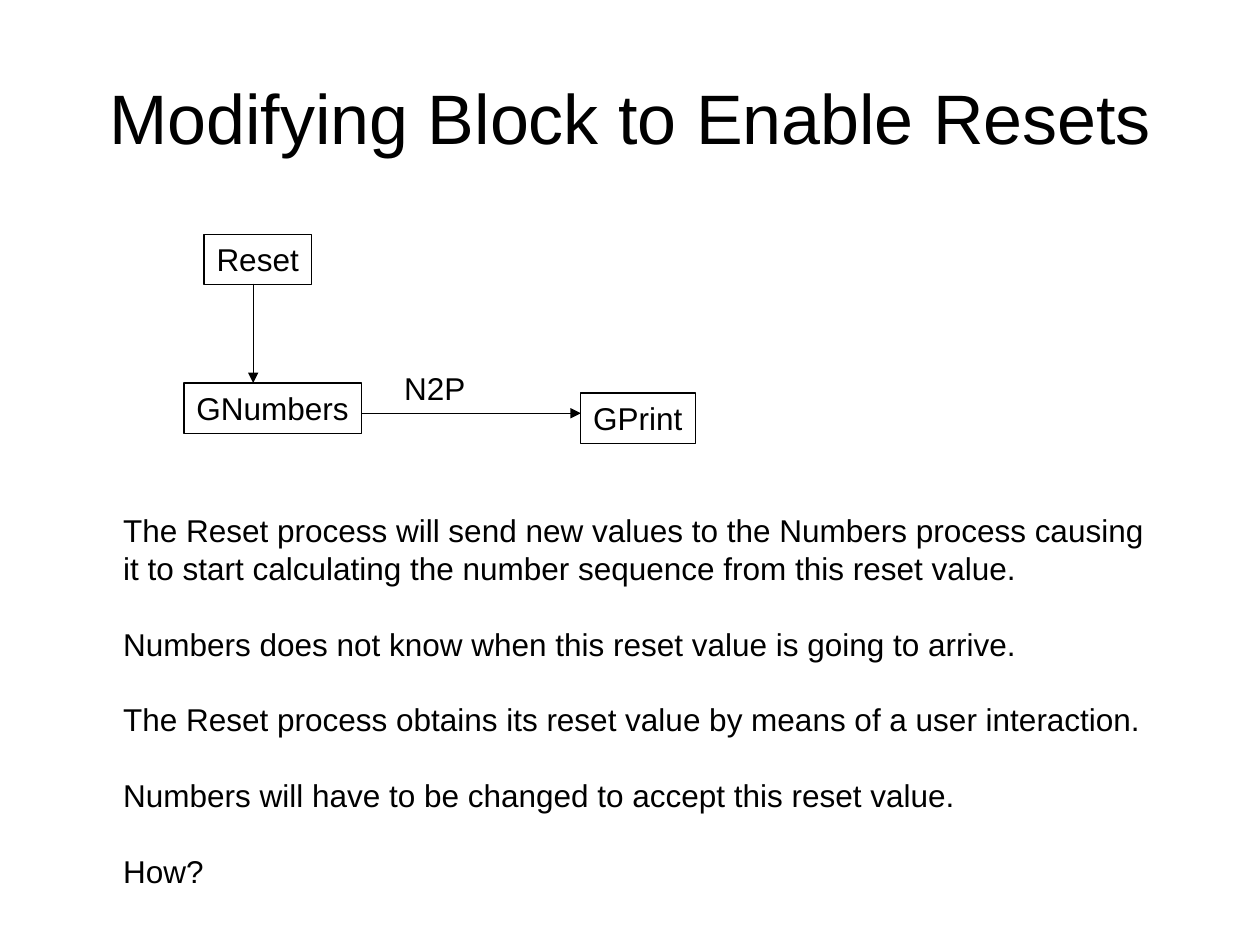
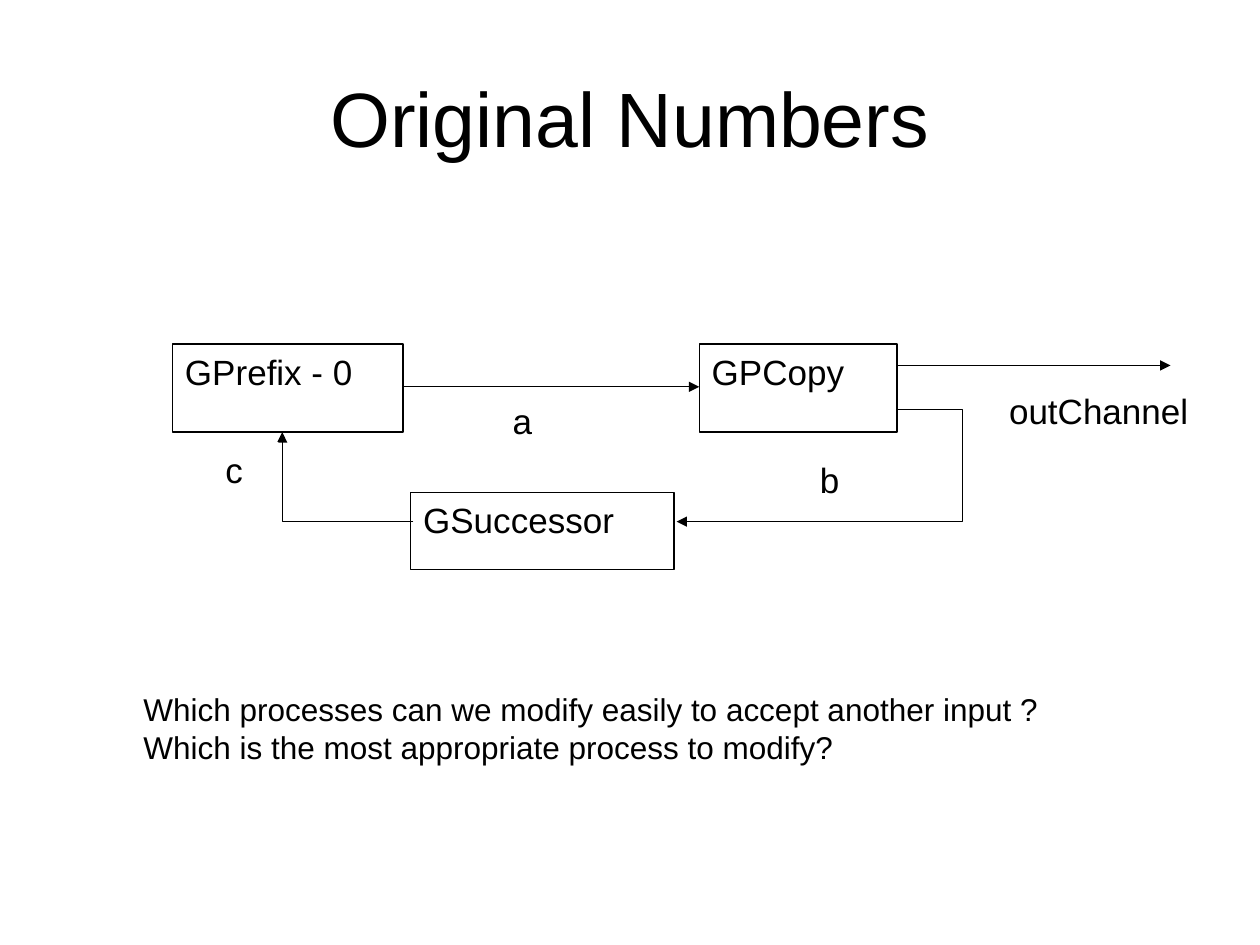
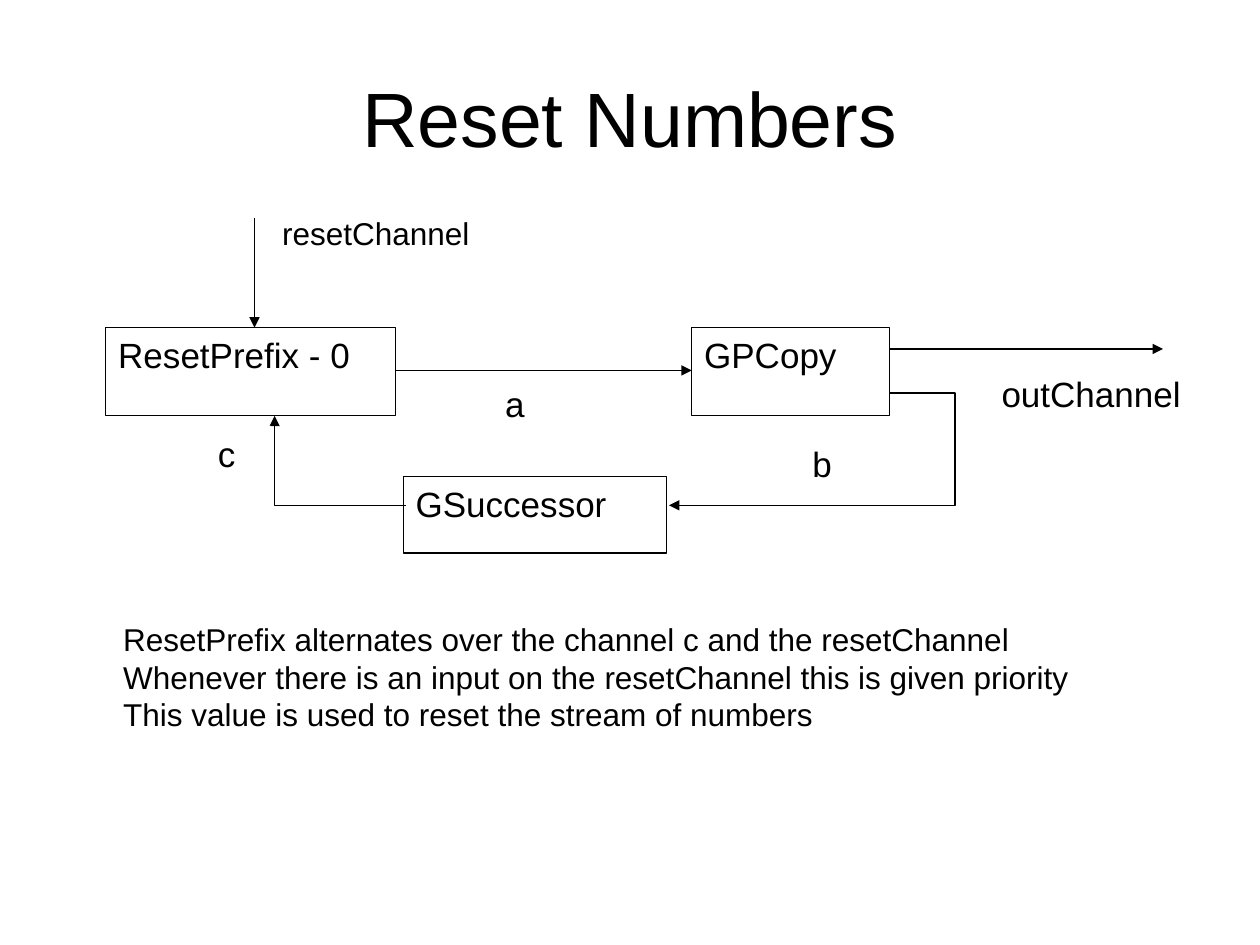
from dataclasses import dataclass

from lxml import etree
from pptx import Presentation
from pptx.dml.color import RGBColor
from pptx.enum.shapes import MSO_CONNECTOR, MSO_SHAPE
from pptx.enum.text import MSO_ANCHOR, MSO_AUTO_SIZE, PP_ALIGN
from pptx.oxml.ns import qn
from pptx.shapes.base import BaseShape
from pptx.slide import Slide
from pptx.text.text import TextFrame, _Paragraph as Paragraph
from pptx.util import Inches, Pt

BLACK = RGBColor(0, 0, 0)
WHITE = RGBColor(255, 255, 255)
FONT = "Arial"
THIN = Pt(0.75)
NOTE_SIZE = 18
LOOP_SIZE = 20
LINE_GAP = Pt(21.6)  # one line of note text
TITLE_ONLY = 5

RECT = MSO_SHAPE.RECTANGLE
STRAIGHT = MSO_CONNECTOR.STRAIGHT
LEFT, CENTER = PP_ALIGN.LEFT, PP_ALIGN.CENTER
TOP, MIDDLE = MSO_ANCHOR.TOP, MSO_ANCHOR.MIDDLE
FIT, FIXED = MSO_AUTO_SIZE.SHAPE_TO_FIT_TEXT, MSO_AUTO_SIZE.NONE

Point = tuple[float, float]


@dataclass
class Box:
    text: str
    left: float
    top: float
    width: float
    height: float
    framed: bool = True


def add_run(para: Paragraph, text: str, size: int, align: PP_ALIGN = LEFT) -> None:
    para.alignment = align
    run = para.add_run()
    run.text = text
    run.font.name = FONT
    run.font.size = Pt(size)
    run.font.color.rgb = BLACK


def set_frame(frame: TextFrame, wrap: bool, fit: bool) -> None:
    frame.word_wrap = wrap
    frame.auto_size = FIT if fit else FIXED
    frame.vertical_anchor = TOP


def add_slide(deck: Presentation, text: str, size: int = 44) -> Slide:
    slide = deck.slides.add_slide(deck.slide_layouts[TITLE_ONLY])
    title = slide.shapes.title
    title.left, title.top = Inches(0.5), Inches(0.3)
    title.width, title.height = Inches(9), Inches(1.25)
    title.text_frame.auto_size = FIXED
    title.text_frame.vertical_anchor = MIDDLE
    add_run(title.text_frame.paragraphs[0], text, size, CENTER)
    return slide


def add_box(slide: Slide, box: Box, size: int = LOOP_SIZE, fit: bool = False) -> None:
    """Draw a process box, or an unframed label; fit makes it clear and text-sized."""
    shape = slide.shapes.add_shape(
        RECT, Inches(box.left), Inches(box.top), Inches(box.width), Inches(box.height)
    )
    shape.shadow.inherit = False
    if fit:
        shape.fill.background()
    else:
        shape.fill.solid()
        shape.fill.fore_color.rgb = WHITE
    if box.framed:
        shape.line.color.rgb = BLACK
        shape.line.width = THIN
    else:
        shape.line.fill.background()
    set_frame(shape.text_frame, wrap=not fit, fit=fit)
    add_run(shape.text_frame.paragraphs[0], box.text, size)


def add_note(slide: Slide, left: float, top: float, width: float, height: float,
             *groups: list[str]) -> None:
    """Write groups of lines, with a line's gap between groups."""
    note = slide.shapes.add_textbox(
        Inches(left), Inches(top), Inches(width), Inches(height)
    )
    frame = note.text_frame
    set_frame(frame, wrap=True, fit=True)
    para = frame.paragraphs[0]
    for i, group in enumerate(groups):
        for j, line in enumerate(group):
            if i or j:
                para = frame.add_paragraph()
            if i and not j:
                para.space_before = LINE_GAP
            add_run(para, line, NOTE_SIZE)


def add_head(shape: BaseShape) -> None:
    """Style the line and put an arrowhead at its end."""
    shape.line.color.rgb = BLACK
    shape.line.width = THIN
    line = shape.element.spPr.find(qn("a:ln"))
    etree.SubElement(line, qn("a:tailEnd"), type="triangle")


def add_arrow(slide: Slide, start: Point, end: Point) -> None:
    ends = [Inches(value) for value in (*start, *end)]
    arrow = slide.shapes.add_connector(STRAIGHT, *ends)
    add_head(arrow)
    etree.SubElement(arrow.element.spPr, qn("a:effectLst"))


def add_bend(slide: Slide, *points: Point) -> None:
    """Draw an arrow with corners."""
    start, *rest = [(Inches(x), Inches(y)) for x, y in points]
    pen = slide.shapes.build_freeform(*start)
    pen.add_line_segments(rest, close=False)
    bend = pen.convert_to_shape()
    bend.fill.background()
    bend.shadow.inherit = False
    add_head(bend)


def add_loop(slide: Slide, x: float, y: float, prefix: str, width: float) -> None:
    """Draw the numbers network; x, y is the top right corner of its prefix box."""
    boxes = [
        Box(prefix, -width, 0, width, 0.7),
        Box("GPCopy", 2.35, 0, 1.57, 0.7),
        Box("GSuccessor", 0.06, 1.18, 2.09, 0.61),
    ]
    labels = [
        Box("a", 0.77, 0.39, 0.61, 0.61, False),
        Box("b", 3.21, 0.86, 0.47, 0.47, False),
        Box("c", -1.51, 0.78, 0.52, 0.7, False),
        Box("outChannel", 4.71, 0.31, 1.69, 0.45, False),
    ]
    arrows = [((0, 0.34), (2.35, 0.34)), ((3.92, 0.17), (6.09, 0.17))]
    bends = [
        [(3.92, 0.52), (4.44, 0.52), (4.44, 1.41), (2.17, 1.41)],
        [(0.08, 1.41), (-0.96, 1.41), (-0.96, 0.7)],
    ]

    def shift(points: list[Point]) -> list[Point]:
        return [(x + px, y + py) for px, py in points]

    def place(items: list[Box]) -> None:
        for item in items:
            item.left += x
            item.top += y
            add_box(slide, item)

    place(boxes)
    for arrow in arrows:
        add_arrow(slide, *shift(arrow))
    for bend in bends:
        add_bend(slide, *shift(bend))
    place(labels)


def draw_reset(deck: Presentation) -> None:
    slide = add_slide(deck, "Modifying Block to Enable Resets", 40)
    for box in (
        Box("Reset", 1.62, 1.86, 0.85, 0.4),
        Box("GNumbers", 1.46, 3.04, 1.41, 0.4),
        Box("GPrint", 4.61, 3.12, 0.91, 0.4),
    ):
        add_box(slide, box, NOTE_SIZE, fit=True)
    add_arrow(slide, (2.87, 3.28), (4.61, 3.28))
    add_note(slide, 3.11, 2.88, 0.75, 0.4, ["N2P"])
    add_arrow(slide, (2.01, 2.25), (2.01, 3.04))
    add_note(
        slide, 0.88, 4.01, 8.4, 3.1,
        ["The Reset process will send new values to the Numbers process causing",
         "it to start calculating the number sequence from this reset value."],
        ["Numbers does not know when this reset value is going to arrive."],
        ["The Reset process obtains its reset value by means of a user interaction."],
        ["Numbers will have to be changed to accept this reset value."],
        ["How?"],
    )


def draw_first(deck: Presentation) -> None:
    slide = add_slide(deck, "Original Numbers")
    add_loop(slide, 3.2, 2.73, "GPrefix - 0", 1.83)
    add_note(
        slide, 1.04, 5.43, 7.4, 0.7,
        ["Which processes can we modify easily to accept another input ?",
         "Which is the most appropriate process to modify?"],
    )


def draw_new(deck: Presentation) -> None:
    slide = add_slide(deck, "Reset Numbers")
    add_loop(slide, 3.14, 2.6, "ResetPrefix - 0", 2.3)
    add_arrow(slide, (2.02, 1.73), (2.02, 2.6))
    add_note(slide, 2.14, 1.65, 1.75, 0.4, ["resetChannel"])
    add_note(
        slide, 0.88, 4.87, 7.8, 1,
        ["ResetPrefix alternates over the channel c and the resetChannel",
         "Whenever there is an input on the resetChannel this is given priority",
         "This value is used to reset the stream of numbers"],
    )


def main() -> None:
    deck = Presentation()
    deck.slide_width, deck.slide_height = Inches(10), Inches(7.5)
    draw_reset(deck)
    draw_first(deck)
    draw_new(deck)
    deck.save("out.pptx")


if __name__ == "__main__":
    main()
